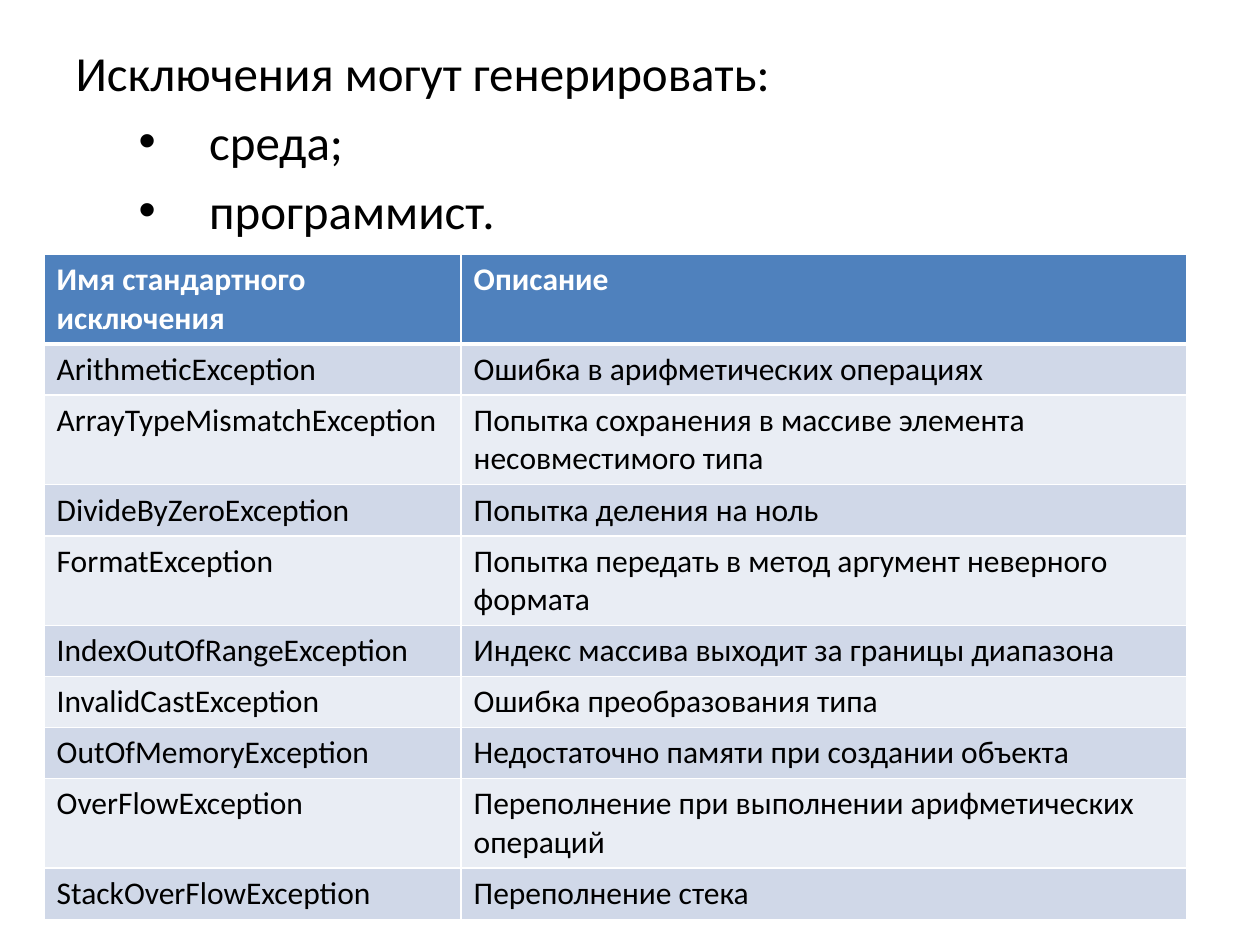
from lxml.etree import SubElement
from pptx import Presentation
from pptx.dml.color import RGBColor
from pptx.oxml.ns import qn
from pptx.util import Inches, Pt

EXCEPTIONS = [
    ("ArithmeticException", "Ошибка в арифметических операциях"),
    ("ArrayTypeMismatchException", "Попытка сохранения в массиве элемента несовместимого типа"),
    ("DivideByZeroException", "Попытка деления на ноль"),
    ("FormatException", "Попытка передать в метод аргумент неверного формата"),
    ("IndexOutOfRangeException", "Индекс массива выходит за границы диапазона"),
    ("InvalidCastException", "Ошибка преобразования типа"),
    ("OutOfMemoryException", "Недостаточно памяти при создании объекта"),
    ("OverFlowException", "Переполнение при выполнении арифметических операций"),
    ("StackOverFlowException", "Переполнение стека"),
]


def color(value):
    return RGBColor.from_string(value)


def write(para, text, size=18, ink="000000", bold=False, font="Calibri"):
    span = para.add_run()
    span.text = text
    span.font.name = font
    span.font.size = Pt(size)
    span.font.bold = bold
    span.font.color.rgb = color(ink)


class SlideBuilder:
    header_fill = "4F81BD"
    band_fills = ("D0D8E8", "E9EDF4")
    line = "FFFFFF"

    def __init__(self, page):
        self.page = page

    def body(self, left, top, width, height, intro, items):
        """Fill the body placeholder with an intro line and a bulleted list."""
        box = self.page.placeholders[1]
        box.left, box.top = Inches(left), Inches(top)
        box.width, box.height = Inches(width), Inches(height)
        frame = box.text_frame
        for index, text in enumerate([intro, *items]):
            para = frame.add_paragraph() if index else frame.paragraphs[0]
            para.level = 1 if index else 0
            write(para, text, size=28)
            self.bullet(para, "•" if index else None)
        # Keep the list in front of the table
        box.element.getparent().append(box.element)

    def bullet(self, para, mark):
        props = para._p.get_or_add_pPr()
        margin, indent = (1.06, -0.56) if mark else (0, 0)
        props.set("marL", str(Inches(margin)))
        props.set("indent", str(Inches(indent)))
        if mark:
            SubElement(props, qn("a:buFont")).set("typeface", "Arial")
            SubElement(props, qn("a:buChar")).set("char", mark)
        else:
            SubElement(props, qn("a:buNone"))

    def table(self, left, top, widths, row_height, rows):
        """Draw a table with a header row and banded data rows."""
        frame = self.page.shapes.add_table(
            len(rows), len(widths), Inches(left), Inches(top),
            Inches(sum(widths)), Inches(row_height * len(rows)))
        grid = frame.table
        for column, width in zip(grid.columns, widths):
            column.width = Inches(width)
        for r, texts in enumerate(rows):
            grid.rows[r].height = Inches(row_height)
            for c, text in enumerate(texts):
                self.cell(grid.cell(r, c), text, r)

    def cell(self, cell, text, row):
        is_header = row == 0
        # The rule under the header is thicker on both of its sides
        self.borders(cell, top=3 if row == 1 else 1, bottom=3 if is_header else 1)
        cell.fill.solid()
        cell.fill.fore_color.rgb = color(
            self.header_fill if is_header else self.band_fills[(row - 1) % 2])
        write(cell.text_frame.paragraphs[0], text, bold=is_header,
              ink="FFFFFF" if is_header else "000000")

    def borders(self, cell, top, bottom):
        props = cell._tc.get_or_add_tcPr()
        for side, width in (("L", 1), ("R", 1), ("T", top), ("B", bottom)):
            edge = SubElement(props, qn(f"a:ln{side}"))
            edge.set("w", str(Pt(width)))
            fill = SubElement(edge, qn("a:solidFill"))
            SubElement(fill, qn("a:srgbClr")).set("val", self.line)


def main():
    deck = Presentation()
    deck.slide_width, deck.slide_height = Inches(10), Inches(7.5)
    page = deck.slides.add_slide(deck.slide_layouts[1])
    title = page.shapes.title.element
    title.getparent().remove(title)
    builder = SlideBuilder(page)

    # Standard exceptions
    header = ("Имя стандартного исключения", "Описание")
    builder.table(0.35, 2.02, (3.31, 5.76), 0.4, [header, *EXCEPTIONS])

    # Who can raise an exception
    builder.body(0.5, 0.29, 9.07, 1.81, "Исключения могут генерировать:",
                 ["среда;", "программист."])

    deck.save("out.pptx")


if __name__ == "__main__":
    main()
